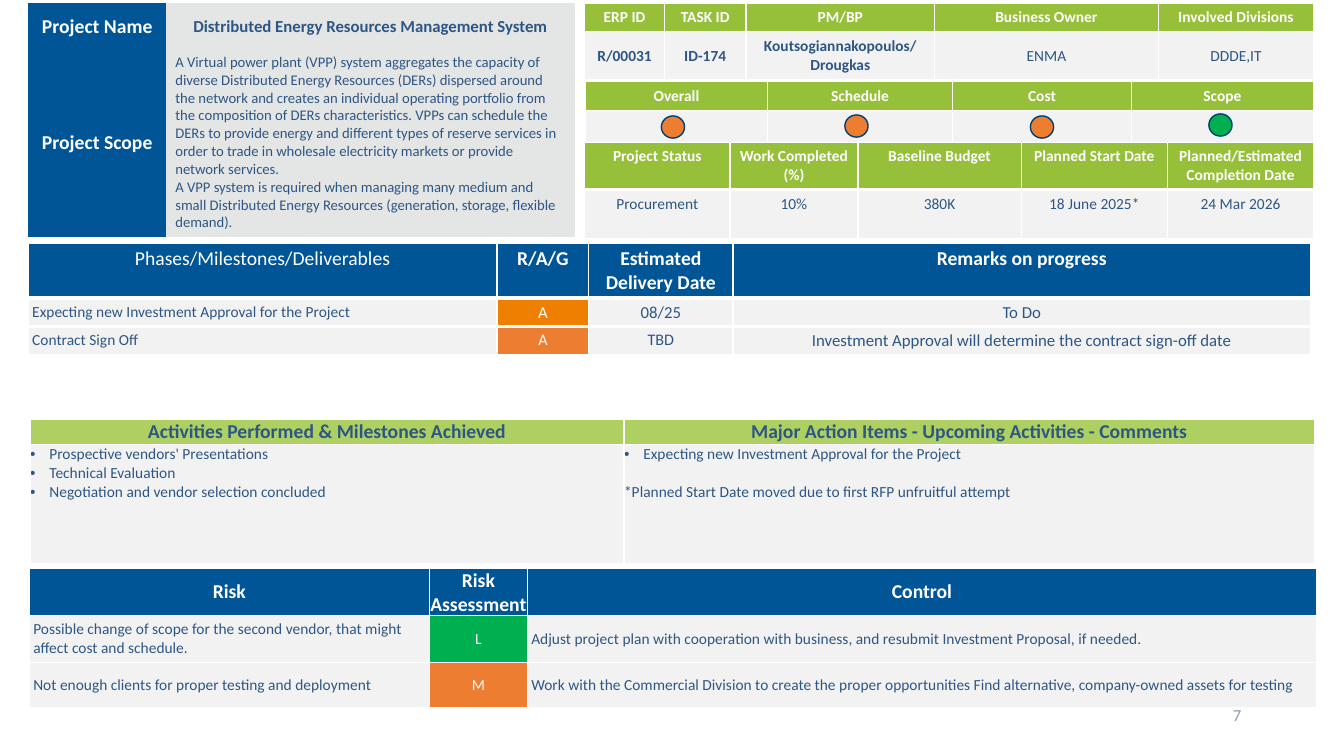
"""Build a one-page project status report slide."""
from dataclasses import dataclass, replace

from lxml.etree import SubElement as Sub
from pptx import Presentation
from pptx.dml.color import RGBColor as RGB
from pptx.enum.shapes import MSO_SHAPE as Shape
from pptx.enum.text import MSO_ANCHOR as Anchor, PP_ALIGN as Align
from pptx.oxml.ns import qn
from pptx.util import Inches, Pt


@dataclass(frozen=True)
class Theme:
    font: str = "Calibri"
    white: str = "FFFFFF"
    navy: str = "005596"
    ink: str = "2E5684"
    lime: str = "96C03A"
    pale: str = "AECF61"
    gray: str = "F2F2F2"
    stone: str = "E4E5E5"
    amber: str = "ED7D31"
    gold: str = "EE7F00"
    green: str = "00B050"
    rim: str = "003F6F"
    mute: str = "8F9AAE"
    head: float = 14
    mid: float = 12
    mark: float = 11.5
    body: float = 11
    small: float = 10.5


@dataclass(frozen=True)
class Look:
    size: float
    color: str
    fill: str
    bold: bool = False
    align: Align = Align.CENTER
    anchor: Anchor = Anchor.MIDDLE
    pad: tuple = (0.09, 0.05)


T = Theme()
TIGHT = (0.04, 0.04)
NONE = (0, 0)
LIME = Look(T.body, T.white, T.lime, bold=True)
LIME_TOP = replace(LIME, anchor=Anchor.TOP)
PLAIN = Look(T.body, T.ink, T.gray)
PLAIN_TOP = replace(PLAIN, anchor=Anchor.TOP)
CODE = replace(PLAIN, bold=True, pad=(0.01, 0.01))
OWNER = replace(PLAIN, bold=True)
NAVY = Look(T.head, T.white, T.navy, bold=True)
TITLE = Look(T.mid, T.ink, T.stone, bold=True)
SCOPE = Look(T.small, T.ink, T.stone, align=Align.LEFT)
PHASE = replace(NAVY, anchor=Anchor.TOP, pad=TIGHT)
TASK = replace(PLAIN_TOP, align=Align.LEFT, pad=TIGHT)
DATE = replace(TASK, size=T.mid, align=Align.CENTER)
DUE = replace(DATE, size=T.mark)
GOLD = replace(DATE, color=T.white, fill=T.gold)
AMBER = replace(DUE, color=T.white, fill=T.amber)
PALE = Look(T.head, T.ink, T.pale, bold=True, pad=NONE)
NOTE = replace(TASK, pad=NONE)
RISK = replace(NAVY, pad=NONE)
TEXT = replace(TASK, anchor=Anchor.MIDDLE)
LOW = Look(T.body, T.white, T.green, pad=TIGHT)
MED = replace(LOW, fill=T.amber)


def apply(item, form):
    """Set each format value on an item."""
    for name, value in form.items():
        setattr(item, name, value)


def style(font, look):
    """Give a font the size, weight and colour of a look."""
    apply(font, {"name": T.font, "size": Pt(look.size), "bold": look.bold})
    font.color.rgb = RGB.from_string(look.color)


def bullet(para):
    """Turn a paragraph into a hanging bullet."""
    props = para._p.get_or_add_pPr()
    props.set("marL", str(Inches(0.19)))
    props.set("indent", str(-Inches(0.19)))
    Sub(props, qn("a:buFont"), typeface="Arial")
    Sub(props, qn("a:buChar"), char="•")


def write(frame, text, look):
    """Write lines of text, with bullets where they are marked."""
    listed = False
    for i, line in enumerate(text.split("\n")):
        para = frame.add_paragraph() if i else frame.paragraphs[0]
        para.alignment = look.align
        if line.startswith("• "):
            bullet(para)
            line, listed = line[2:], True
        elif listed:
            para.space_before = Pt(13.5)
        if line:
            run = para.add_run()
            run.text = line
            style(run.font, look)
        else:
            style(para.font, look)


def edge(cell, sides):
    """Draw white cell borders, or none where the width is zero."""
    props = cell._tc.get_or_add_tcPr()
    for side, width in sides.items():
        line = Sub(props, qn(f"a:ln{side}"), w=str(Pt(width)))
        if width:
            Sub(Sub(line, qn("a:solidFill")), qn("a:srgbClr"), val=T.white)
        else:
            Sub(line, qn("a:noFill"))


def grid(slide, left, top, cols, rows, data, line=1, gap=1):
    """Add a table whose cells are pairs of text and look."""
    shape = slide.shapes.add_table(
        len(rows), len(cols), Inches(left), Inches(top),
        Inches(sum(cols)), Inches(sum(rows)))
    table = shape.table
    apply(table, {"first_row": False, "horz_banding": False})
    for col, width in zip(table.columns, cols):
        col.width = Inches(width)
    for row, height in zip(table.rows, rows):
        row.height = Inches(height)
    last = len(rows) - 1
    for r, pairs in enumerate(data):
        for c, (text, look) in enumerate(pairs):
            cell = table.cell(r, c)
            edge(cell, {"L": line, "R": line, "T": gap if r else line,
                        "B": gap if r < last else line})
            cell.fill.solid()
            cell.fill.fore_color.rgb = RGB.from_string(look.fill)
            wide, high = map(Inches, look.pad)
            apply(cell, {"margin_left": wide, "margin_right": wide,
                         "margin_top": high, "margin_bottom": high,
                         "vertical_anchor": look.anchor})
            write(cell.text_frame, text, look)


def same(look, *texts):
    """Pair each text with one look."""
    return [(text, look) for text in texts]


def light(slide, left, top, color):
    """Add a round status light."""
    dot = slide.shapes.add_shape(Shape.OVAL, Inches(left), Inches(top),
                                 Inches(0.23), Inches(0.22))
    dot.shadow.inherit = False
    dot.fill.solid()
    dot.fill.fore_color.rgb = RGB.from_string(color)
    dot.line.color.rgb = RGB.from_string(T.rim)
    dot.line.width = Pt(1)


def number(slide, text):
    """Add the page number."""
    box = slide.shapes.add_textbox(Inches(9.41), Inches(6.89), Inches(3), Inches(0.4))
    apply(box.text_frame, {"word_wrap": True, "vertical_anchor": Anchor.MIDDLE})
    write(box.text_frame, text, Look(T.mid, T.mute, T.white, align=Align.RIGHT))


def status(slide):
    """Add the identity, health and schedule tables."""
    grid(slide, 5.8, 0.03, [0.79, 0.81, 1.87, 2.22, 1.54], [0.28, 0.48], [
        same(LIME, "ERP ID", "TASK ID", "PM/BP", "Business Owner", "Involved Divisions"),
        same(CODE, "R/00031", "ID-174")
        + same(OWNER, "Koutsogiannakopoulos/ Drougkas")
        + same(PLAIN, "ENMA", "DDDE,IT")])
    grid(slide, 5.81, 0.81, [1.8, 1.84, 1.77, 1.81], [0.28, 0.34], [
        same(LIME_TOP, "Overall", "Schedule", "Cost", "Scope"),
        same(PLAIN_TOP, *[""] * 4)])
    grid(slide, 5.8, 1.41, [1.44, 1.27, 1.62, 1.45, 1.45], [0.47, 0.49], [
        same(LIME_TOP, "Project Status", "Work Completed (%)", "Baseline Budget",
             "Planned Start Date", "Planned/Estimated Completion Date"),
        same(PLAIN_TOP, "Procurement", "10%", "380K", "18 June 2025*", "24 Mar 2026")],
        gap=3)
    for left, top, color in [(6.56, 1.15, T.amber), (8.38, 1.14, T.amber),
                             (10.22, 1.15, T.amber), (11.99, 1.13, T.green)]:
        light(slide, left, top, color)


def about(slide):
    """Add the project name and scope tables."""
    cols = [1.37, 4.05]
    grid(slide, 0.28, 0.03, cols, [0.47], [
        [("Project Name", NAVY),
         ("Distributed Energy Resources Management System", TITLE)]], line=0)
    scope = (
        "A Virtual power plant (VPP) system aggregates the capacity of diverse Distributed "
        "Energy Resources (DERs) dispersed around the network and creates an individual "
        "operating portfolio from the composition of DERs characteristics. VPPs can schedule "
        "the DERs to provide energy and different types of reserve services in order to trade "
        "in wholesale electricity markets or provide network services.\n"
        "A VPP system is required when managing many medium and small Distributed Energy "
        "Resources (generation, storage, flexible demand).")
    grid(slide, 0.28, 0.48, cols, [1.87],
         [[("Project Scope", NAVY), (scope, SCOPE)]], line=0)


def plan(slide):
    """Add the milestone, activity and risk tables."""
    grid(slide, 0.28, 2.41, [4.65, 0.91, 1.43, 5.73], [0.55, 0.28, 0.28], [
        same(replace(PHASE, bold=False), "Phases/Milestones/Deliverables")
        + same(PHASE, "R/A/G", "Estimated Delivery Date", "Remarks on progress"),
        [("Expecting new Investment Approval for the Project", TASK), ("A", GOLD),
         ("08/25", DATE), ("To Do", DATE)],
        [("Contract Sign Off", TASK), ("A", AMBER), ("TBD", DUE),
         ("Investment Approval will determine the contract sign-off date", DATE)]], gap=3)
    grid(slide, 0.3, 4.16, [5.89, 6.85], [0.25, 1.18], [
        same(PALE, "Activities Performed & Milestones Achieved",
             "Major Action Items - Upcoming Activities - Comments"),
        same(NOTE, "• Prospective vendors' Presentations\n• Technical Evaluation\n"
             "• Negotiation and vendor selection concluded",
             "• Expecting new Investment Approval for the Project\n"
             "*Planned Start Date moved due to first RFP unfruitful attempt")])
    grid(slide, 0.29, 5.64, [3.97, 0.97, 7.83], [0.47, 0.46, 0.45], [
        same(RISK, "Risk", "Risk Assessment", "Control"),
        [("Possible change of scope for the second vendor, that might affect cost and "
          "schedule.", TEXT), ("L", LOW),
         ("Adjust project plan with cooperation with business, and resubmit Investment "
          "Proposal, if needed.", TEXT)],
        [("Not enough clients for proper testing and deployment", TEXT), ("M", MED),
         ("Work with the Commercial Division to create the proper opportunities Find "
          "alternative, company-owned assets for testing", TEXT)]])


def main():
    """Build and save the slide."""
    deck = Presentation()
    apply(deck, {"slide_width": Inches(13.33), "slide_height": Inches(7.5)})
    slide = deck.slides.add_slide(deck.slide_layouts[6])
    number(slide, "7")
    status(slide)
    plan(slide)
    about(slide)
    deck.save("out.pptx")


if __name__ == "__main__":
    main()
